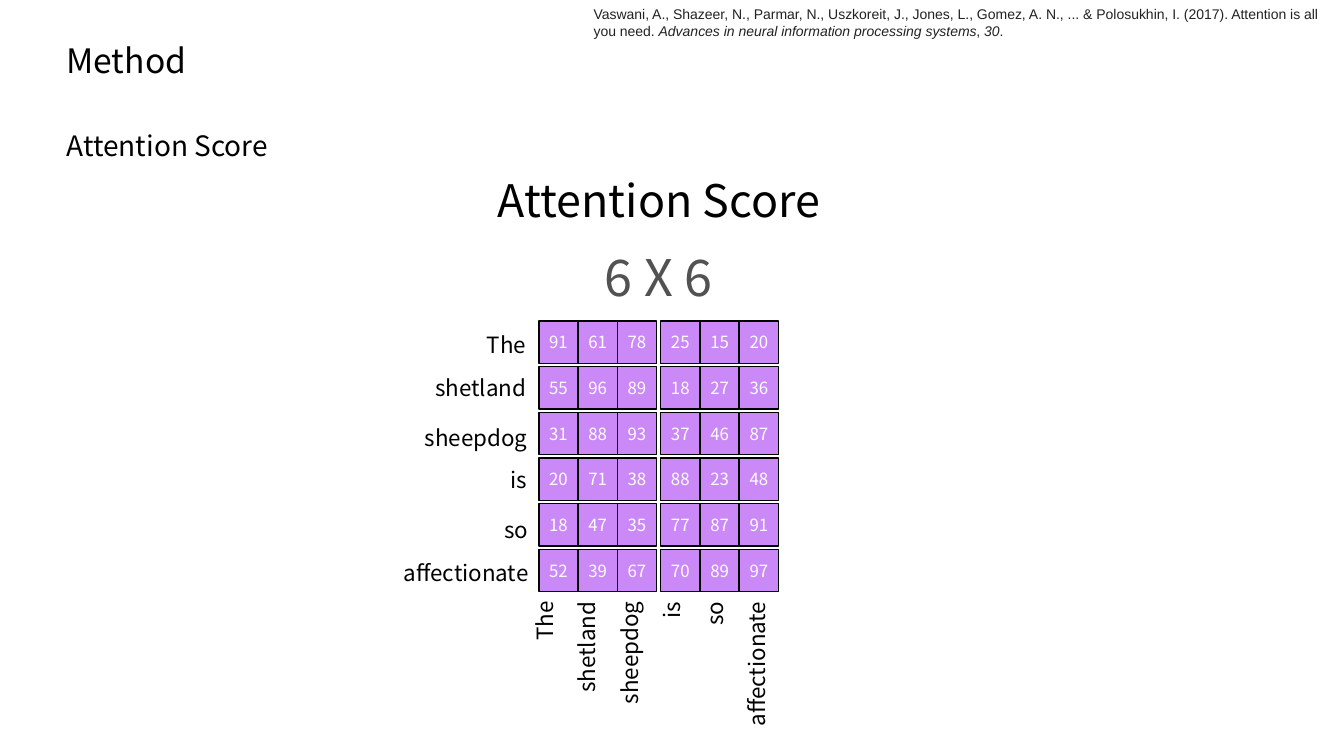
"""Build the attention score slide with its 6 by 6 word matrix."""
from pptx import Presentation
from pptx.dml.color import RGBColor
from pptx.enum.shapes import MSO_SHAPE as Shape
from pptx.enum.text import MSO_ANCHOR as Anchor, MSO_AUTO_SIZE as AutoSize, PP_ALIGN as Align
from pptx.oxml.ns import qn
from pptx.util import Cm, Pt
from lxml.etree import SubElement

TITLE = "Method"
SUBTITLE = "Attention Score"
MATRIX_TITLE = "Attention Score"
MATRIX_SIZE = "6 X 6"
CITATION = [
    ("Vaswani, A., Shazeer, N., Parmar, N., Uszkoreit, J., Jones, L., Gomez, A. N., ... "
     "& Polosukhin, I. (2017). Attention is all you need. ", False),
    ("Advances in neural information processing systems", True),
    (", ", False),
    ("30", True),
    (".", False),
]
WORDS = ["The", "shetland", "sheepdog", "is", "so", "affectionate"]
SCORES = [
    [91, 61, 78, 25, 15, 20],
    [55, 96, 89, 18, 27, 36],
    [31, 88, 93, 37, 46, 87],
    [20, 71, 38, 88, 23, 48],
    [18, 47, 35, 77, 87, 91],
    [52, 39, 67, 70, 89, 97],
]

COLORS = {"text": "000000", "citation": "222222", "size": "525252",
          "cell": "CB89F7", "border": "000000", "score": "FFFFFF"}
FONT = "Noto Sans CJK KR"
CITATION_FONT = "Arial"

CELL_LEFT, CELL_TOP = 13.58, 8.09
CELL_WIDTH, CELL_HEIGHT = 0.99, 1.07
ROW_PITCH = 1.15
HALF_GAP = 0.1
LABEL_PITCH = 1.07
LABEL_PAIR_PITCH = 2.33


def color(name):
    return RGBColor.from_string(COLORS[name])


def place(shape, left, top, width, height):
    shape.left, shape.top = Cm(left), Cm(top)
    shape.width, shape.height = Cm(width), Cm(height)


def format_text(shape, size, color_name="text", align=Align.LEFT, anchor=Anchor.TOP, font=FONT):
    frame = shape.text_frame
    frame.word_wrap = True
    frame.vertical_anchor = anchor
    for paragraph in frame.paragraphs:
        paragraph.alignment = align
        for run in paragraph.runs:
            run.font.size = Pt(size)
            run.font.name = font
            run.font.color.rgb = color(color_name)


def add_text(slide, text, box, size, color_name="text", align=Align.LEFT):
    shape = slide.shapes.add_textbox(*map(Cm, box))
    shape.text_frame.text = text
    shape.text_frame.auto_size = AutoSize.SHAPE_TO_FIT_TEXT
    format_text(shape, size, color_name, align)
    return shape


def add_headings(slide):
    title, body = slide.shapes.title, slide.placeholders[1]
    for shape, text in ((title, TITLE), (body, SUBTITLE)):
        shape.text_frame.text = text
        shape.text_frame.auto_size = AutoSize.SHAPE_TO_FIT_TEXT
    place(title, 1.42, 0.89, 9.96, 1.27)
    format_text(title, 24, anchor=Anchor.MIDDLE)
    place(body, 1.42, 3.1, 18.03, 1.12)
    format_text(body, 20)
    paragraph = body.text_frame.paragraphs[0]
    paragraph.space_before = Pt(0)
    properties = paragraph._p.get_or_add_pPr()
    properties.set("marL", "0")
    properties.set("indent", "0")
    SubElement(properties, qn("a:buNone"))


def add_citation(slide):
    shape = slide.shapes.add_textbox(Cm(14.71), Cm(0), Cm(19.1), Cm(1.12))
    paragraph = shape.text_frame.paragraphs[0]
    for text, italic in CITATION:
        run = paragraph.add_run()
        run.text = text
        run.font.italic = italic
    format_text(shape, 10, "citation", anchor=Anchor.MIDDLE, font=CITATION_FONT)


def add_scores(slide):
    for row, scores in enumerate(SCORES):
        for column, score in enumerate(scores):
            left = CELL_LEFT + column * CELL_WIDTH + column // 3 * HALF_GAP
            top = CELL_TOP + row * ROW_PITCH
            cell = slide.shapes.add_shape(
                Shape.RECTANGLE, Cm(left), Cm(top), Cm(CELL_WIDTH), Cm(CELL_HEIGHT))
            cell.shadow.inherit = False
            cell.fill.solid()
            cell.fill.fore_color.rgb = color("cell")
            cell.line.color.rgb = color("border")
            cell.line.width = Pt(1)
            frame = cell.text_frame
            frame.text = str(score)
            frame.margin_left = frame.margin_right = 0
            format_text(cell, 12, "score", Align.CENTER, Anchor.MIDDLE)


def add_word_labels(slide):
    for index, word in enumerate(WORDS):
        pair, second = divmod(index, 2)
        top = 8.23 + pair * LABEL_PAIR_PITCH + second * LABEL_PITCH
        add_text(slide, word, (8.79 + pair * 0.03, top, 4.72, 0.94), 16, align=Align.RIGHT)
        column_box = (13.26 + index * LABEL_PITCH, 14.91, 1.19, 4.88)
        label = add_text(slide, word, column_box, 16, align=Align.RIGHT)
        label.text_frame._txBody.bodyPr.set("vert", "vert270")


def main():
    presentation = Presentation()
    presentation.slide_width, presentation.slide_height = Cm(33.87), Cm(19.05)
    slide = presentation.slides.add_slide(presentation.slide_layouts[1])
    add_headings(slide)
    add_citation(slide)
    add_text(slide, MATRIX_SIZE, (14.63, 6.07, 3.94, 1.8), 36, "size", Align.CENTER)
    add_scores(slide)
    add_text(slide, MATRIX_TITLE, (11.71, 4.22, 9.8, 1.63), 32, align=Align.CENTER)
    add_word_labels(slide)
    presentation.save("out.pptx")


if __name__ == "__main__":
    main()
